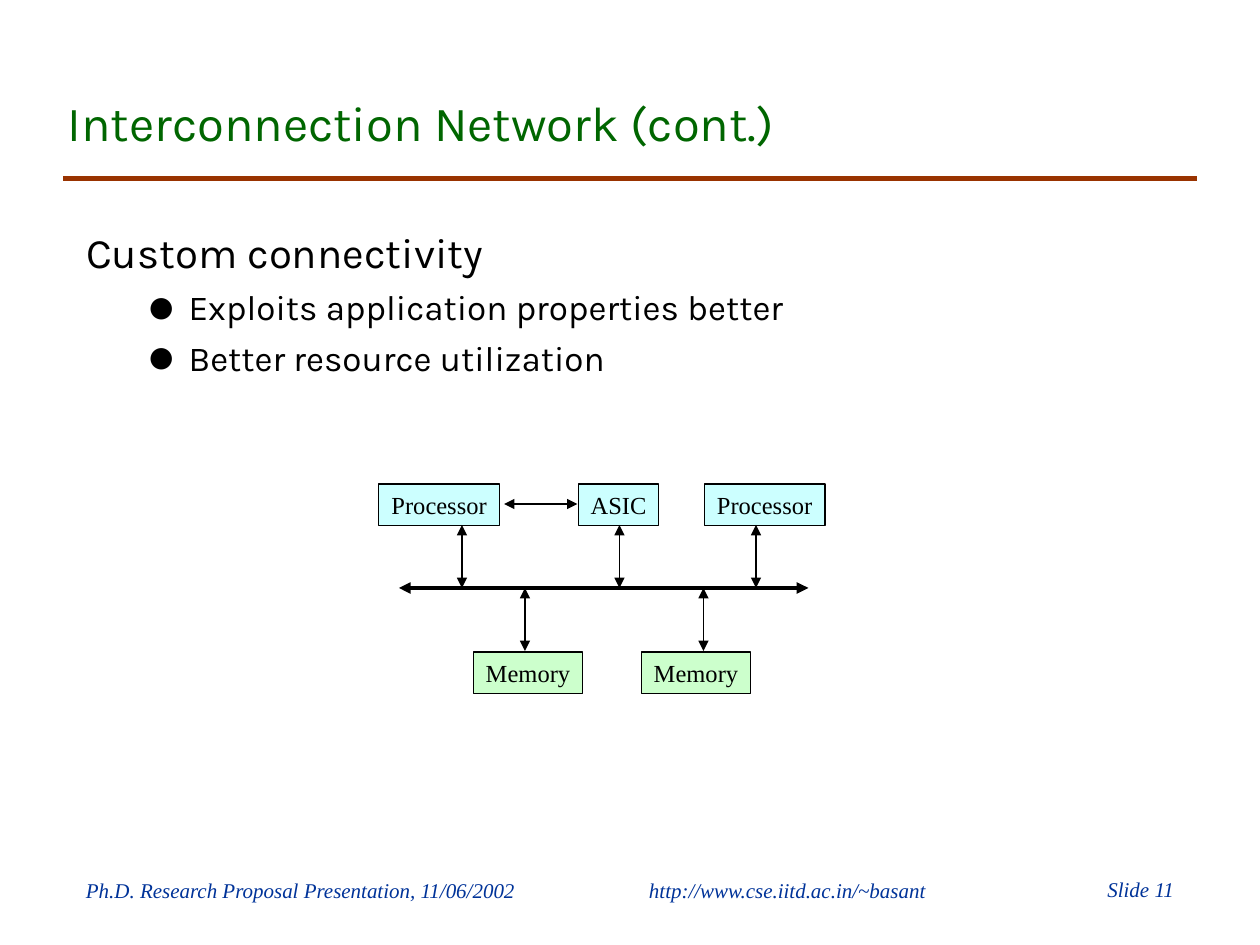
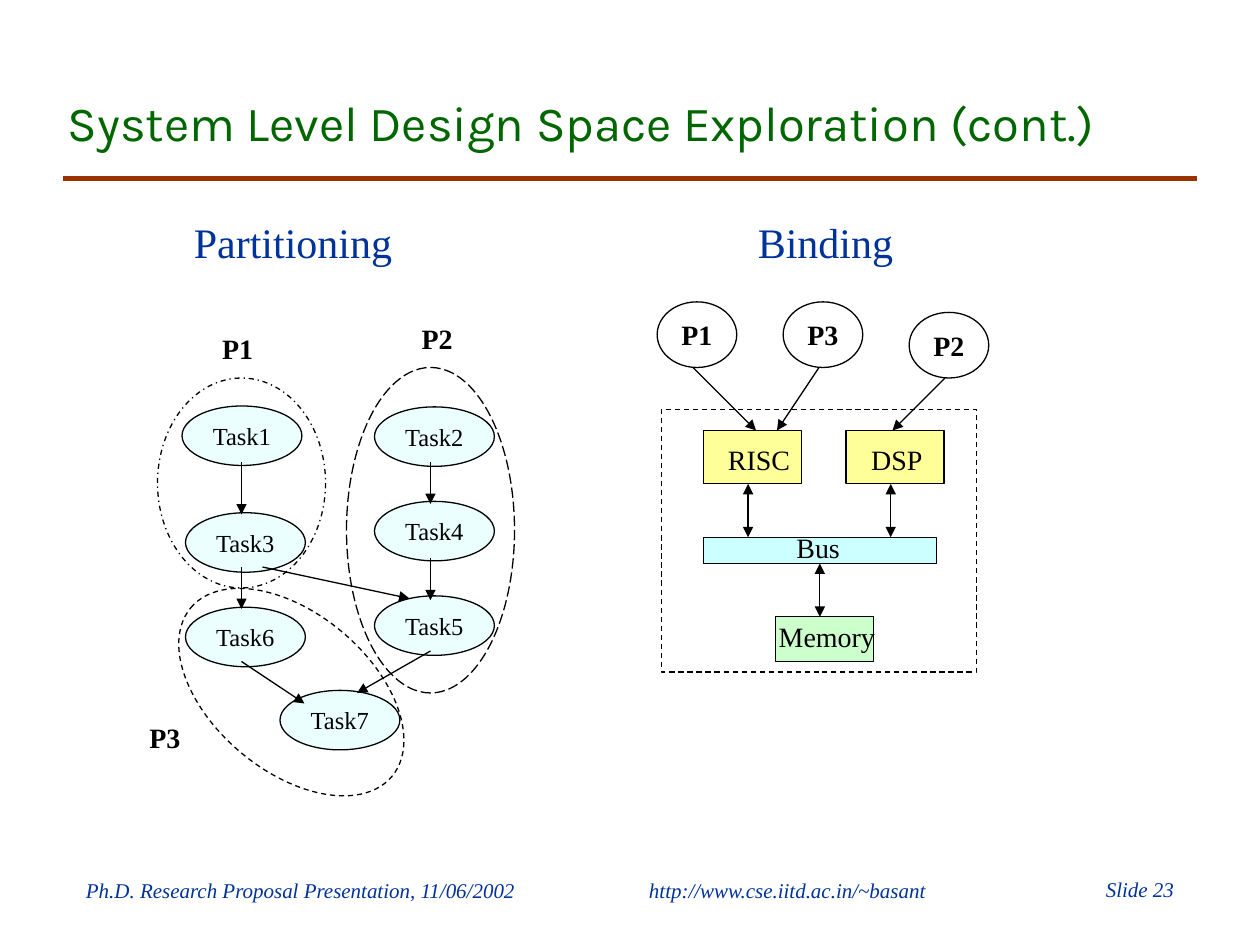
from lxml.etree import SubElement
from pptx import Presentation
from pptx.dml.color import RGBColor
from pptx.enum.dml import MSO_LINE
from pptx.enum.shapes import MSO_CONNECTOR, MSO_SHAPE
from pptx.enum.text import MSO_ANCHOR, MSO_AUTO_SIZE, PP_ALIGN
from pptx.oxml.ns import qn
from pptx.util import Pt

BLACK = RGBColor(0x00, 0x00, 0x00)
WHITE = RGBColor(0xFF, 0xFF, 0xFF)
GREEN = RGBColor(0x00, 0x66, 0x00)
BLUE = RGBColor(0x00, 0x33, 0x99)
BROWN = RGBColor(0x99, 0x33, 0x00)
CYAN = RGBColor(0xCC, 0xFF, 0xFF)
PALE = RGBColor(0xD9, 0xFF, 0xFF)
MINT = RGBColor(0xCC, 0xFF, 0xCC)
CREAM = RGBColor(0xFF, 0xFF, 0x99)

SANS = "Karla"
SERIF = "Times New Roman"
TITLE = {"name": SANS, "size": Pt(28), "color": GREEN}
LEAD = {"name": SANS, "size": Pt(24), "color": BLACK}
POINT = {"name": SANS, "size": Pt(20), "color": BLACK}
FOOT = {"name": SERIF, "size": Pt(12), "color": BLUE, "italic": True}
HEAD = {"name": SERIF, "size": Pt(24), "color": BLUE}
NODE = {"name": SERIF, "size": Pt(14), "color": BLACK}
PART = {"name": SERIF, "size": Pt(16), "color": BLACK}
GROUP = {**PART, "bold": True}

LEFT = {"alignment": PP_ALIGN.LEFT}
MID = {"alignment": PP_ALIGN.CENTER}
RIGHT = {"alignment": PP_ALIGN.RIGHT}
FRAME = {"auto_size": MSO_AUTO_SIZE.NONE, "margin_left": Pt(7.2), "margin_right": Pt(7.2),
         "margin_top": Pt(3.6), "margin_bottom": Pt(3.6)}
TOP = {**FRAME, "word_wrap": True, "vertical_anchor": MSO_ANCHOR.TOP}
BASE = {**TOP, "vertical_anchor": MSO_ANCHOR.BOTTOM}
FREE = {**FRAME, "word_wrap": False, "vertical_anchor": MSO_ANCHOR.MIDDLE}
BULLET = [("buClr", {}), ("buSzPct", {"val": "80000"}), ("buFont", {"typeface": SANS}),
          ("buChar", {"char": "●"})]


def apply(thing, form):
    for key, value in form.items():
        if key == "color":
            thing.color.rgb = value
        else:
            setattr(thing, key, value)


def place(shape, box):
    apply(shape, dict(zip(("left", "top", "width", "height"), map(Pt, box))))


def write(para, text, font, form):
    run = para.add_run()
    run.text = text
    apply(run.font, font)
    apply(para, form)


def fill_text(shape, text, font, form=MID, frame=FREE):
    apply(shape.text_frame, frame)
    write(shape.text_frame.paragraphs[0], text, font, form)


def add_label(slide, box, text, font, form=MID, frame=FREE):
    fill_text(slide.shapes.add_textbox(*map(Pt, box)), text, font, form, frame)


def add_form(slide, kind, box, fill=None, text="", font=NODE, dash=None, turn=0):
    shape = slide.shapes.add_shape(kind, *map(Pt, box))
    shape.shadow.inherit = False
    shape.rotation = turn
    if fill is None:
        shape.fill.background()
    else:
        shape.fill.solid()
        shape.fill.fore_color.rgb = fill
    apply(shape.line, {"color": BLACK, "width": Pt(0.75), "dash_style": dash})
    if text:
        fill_text(shape, text, font)
    return shape


def fade(shape, share):
    tone = shape.fill._xPr.find(qn("a:solidFill"))[0]
    SubElement(tone, qn("a:alpha"), val=str(share * 1000))


def add_line(slide, start, end, ends=(), color=BLACK, width=0.75):
    line = slide.shapes.add_connector(MSO_CONNECTOR.STRAIGHT, *map(Pt, start + end))
    apply(line.line, {"color": color, "width": Pt(width)})
    for tag in ends:
        SubElement(line.line._ln, qn(f"a:{tag}"), type="triangle")
    SubElement(line._element.spPr, qn("a:effectLst"))


ONE = ("tailEnd",)
BOTH = ("headEnd", "tailEnd")


def add_page(deck, layout, title, number):
    slide = deck.slides.add_slide(deck.slide_layouts[layout])
    place(slide.shapes.title, (31.5, 18, 612, 72))
    fill_text(slide.shapes.title, title, TITLE, LEFT, BASE)
    add_line(slide, (36, 102), (684, 102), color=BROWN, width=3)
    add_label(slide, (42, 498, 270, 21.6), "Ph.D. Research Proposal Presentation, 11/06/2002",
              FOOT, LEFT, TOP)
    add_label(slide, (354, 498, 192, 21.6), "http://www.cse.iitd.ac.in/~basant", FOOT, MID, TOP)
    add_label(slide, (594, 497.5, 84, 21.6), f"Slide {number}", FOOT, RIGHT, BASE)
    return slide


def indent(para, left, first):
    props = para._p.get_or_add_pPr()
    props.set("marL", str(Pt(left)))
    props.set("indent", str(Pt(first)))
    return props


def add_list(slide, box, lead, points):
    body = slide.placeholders[1]
    place(body, box)
    apply(body.text_frame, TOP)
    para = body.text_frame.paragraphs[0]
    SubElement(indent(para, 27, -27), qn("a:buNone"))
    write(para, lead, LEAD, {**LEFT, "space_before": Pt(0)})
    for point in points:
        para = body.text_frame.add_paragraph()
        para.level = 1
        props = indent(para, 58.5, -22.5)
        for tag, attrs in BULLET:
            item = SubElement(props, qn(f"a:{tag}"), attrs)
            if tag == "buClr":
                SubElement(item, qn("a:srgbClr"), val=str(BLACK))
        write(para, point, POINT, {**LEFT, "space_before": Pt(5)})


def draw_network(slide):
    for left, top, width, fill, text in [
            (216.5, 276.5, 69, CYAN, "Processor"), (330.5, 276.5, 46, CYAN, "ASIC"),
            (402.5, 276.5, 69, CYAN, "Processor"),
            (270.5, 372.5, 62.5, MINT, "Memory"), (366.5, 372.5, 62.5, MINT, "Memory")]:
        add_form(slide, MSO_SHAPE.RECTANGLE, (left, top, width, 24), fill, text)
    bus = 336
    add_line(slide, (228, bus), (462, bus), BOTH, width=2.25)
    for x in (264, 354, 432):
        add_line(slide, (x, bus - 36), (x, bus), BOTH)
    for x in (300, 402):
        add_line(slide, (x, bus), (x, bus + 36), BOTH)
    add_line(slide, (288, 288), (330, 288), BOTH)


def draw_tasks(slide):
    spots = [(104, 232), (214, 232.5), (106, 293), (214, 286.5),
             (214, 340.5), (106, 347), (160, 394.5)]
    for count, spot in enumerate(spots, 1):
        task = add_form(slide, MSO_SHAPE.OVAL, spot + (68.5, 34), PALE, f"Task{count}")
        fade(task, 50)
    for start, end in [((138, 264), (138, 294)), ((246, 264), (246, 288)),
                       ((138, 324), (138, 348)), ((150, 324), (234, 342)),
                       ((246, 319), (246, 343)), ((138, 378), (174, 402)),
                       ((246, 372), (204, 396))]:
        add_line(slide, start, end, ONE)
    for box, dash, turn in [((90, 216, 96, 120), MSO_LINE.DASH_DOT, 0),
                            ((198, 210, 96, 186), MSO_LINE.LONG_DASH, 0),
                            ((91.5, 350.5, 150, 90), MSO_LINE.DASH, 40)]:
        add_form(slide, MSO_SHAPE.OVAL, box, dash=dash, turn=turn)
    for left, top, text in [(120, 186, "P1"), (234, 180, "P2"), (78.5, 408, "P3")]:
        add_label(slide, (left, top, 31.5, 26.5), text, GROUP)


def draw_system(slide):
    for box, fill in [((402, 246, 56, 30.5), CREAM), ((483.5, 246, 56, 30.5), CREAM),
                      ((402, 307, 133, 15), CYAN), ((443, 352.5, 56, 25.5), MINT)]:
        add_form(slide, MSO_SHAPE.RECTANGLE, box, fill)
    for x, top, end in [(427.5, 276.5, 307), (509, 276.5, 307), (468.5, 322, 352.5)]:
        add_line(slide, (x, top), (x, end), BOTH)
    for left, top, width, text in [(409, 249, 49.5, "RISC"), (491, 249, 43, "DSP"),
                                   (432.5, 299.5, 70, "Bus"), (438, 350.5, 69, "Memory")]:
        add_label(slide, (left, top, width, 26.5), text, PART)
    add_form(slide, MSO_SHAPE.RECTANGLE, (378, 234, 180, 150), dash=MSO_LINE.DASH)
    for left, top, text in [(375.5, 172.5, "P1"), (447.5, 172.5, "P3"), (519.5, 178.5, "P2")]:
        add_form(slide, MSO_SHAPE.OVAL, (left, top, 45.5, 37.5), WHITE, text, GROUP)
    for start, end in [((396, 210), (432, 246)), ((468, 210), (444, 246)),
                       ((540, 216), (510, 246))]:
        add_line(slide, start, end, ONE)


def main():
    deck = Presentation()
    apply(deck, {"slide_width": Pt(720), "slide_height": Pt(540)})

    slide = add_page(deck, 1, "Interconnection Network (cont.)", 11)
    add_list(slide, (42, 126, 630, 108), "Custom connectivity",
             ["Exploits application properties better", "Better resource utilization"])
    draw_network(slide)

    slide = add_page(deck, 5, "System Level Design Space Exploration (cont.)", 23)
    add_label(slide, (104, 120, 127, 36), "Partitioning", HEAD)
    add_label(slide, (426, 120, 91.5, 36), "Binding", HEAD)
    draw_tasks(slide)
    draw_system(slide)

    deck.save("out.pptx")


if __name__ == "__main__":
    main()
